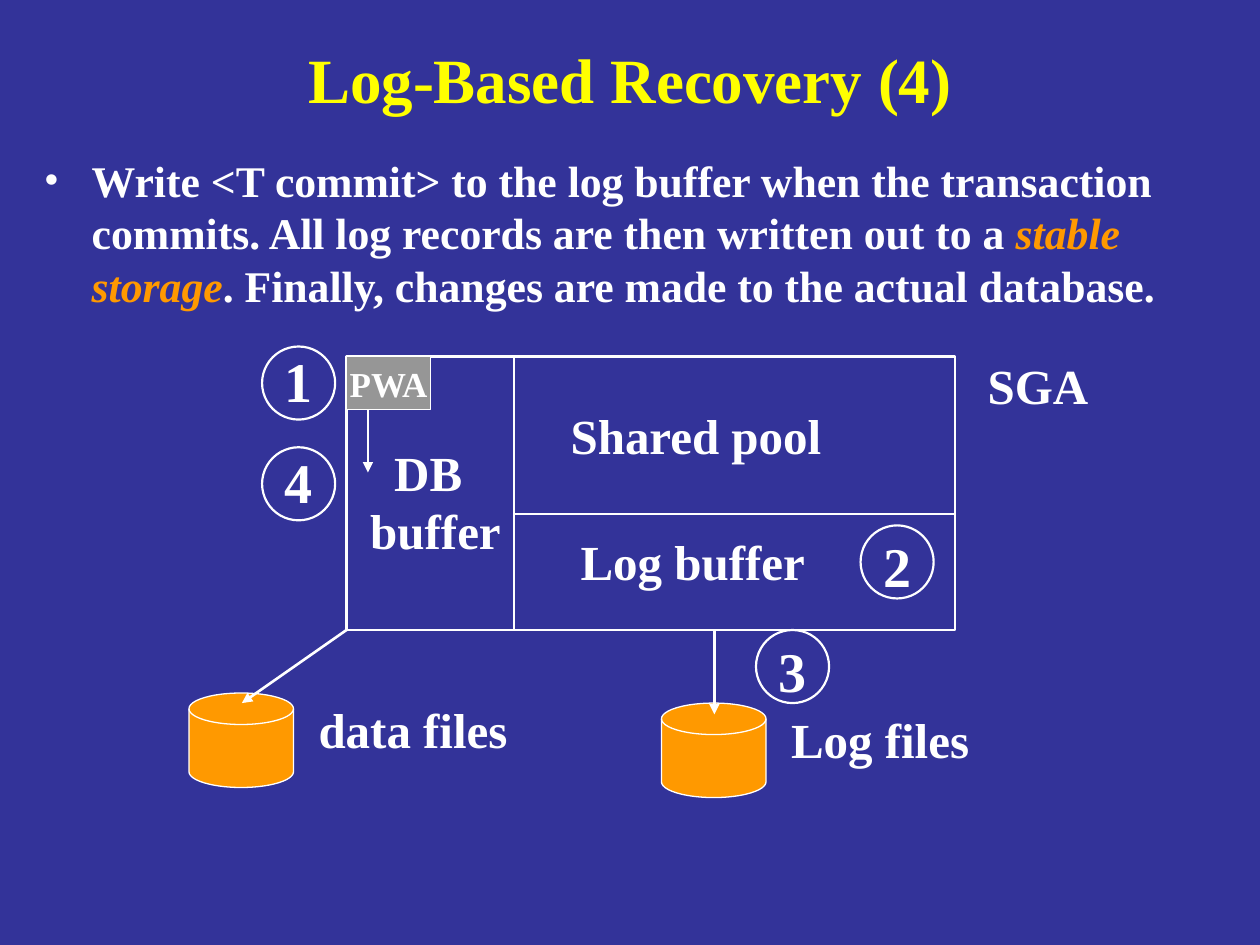
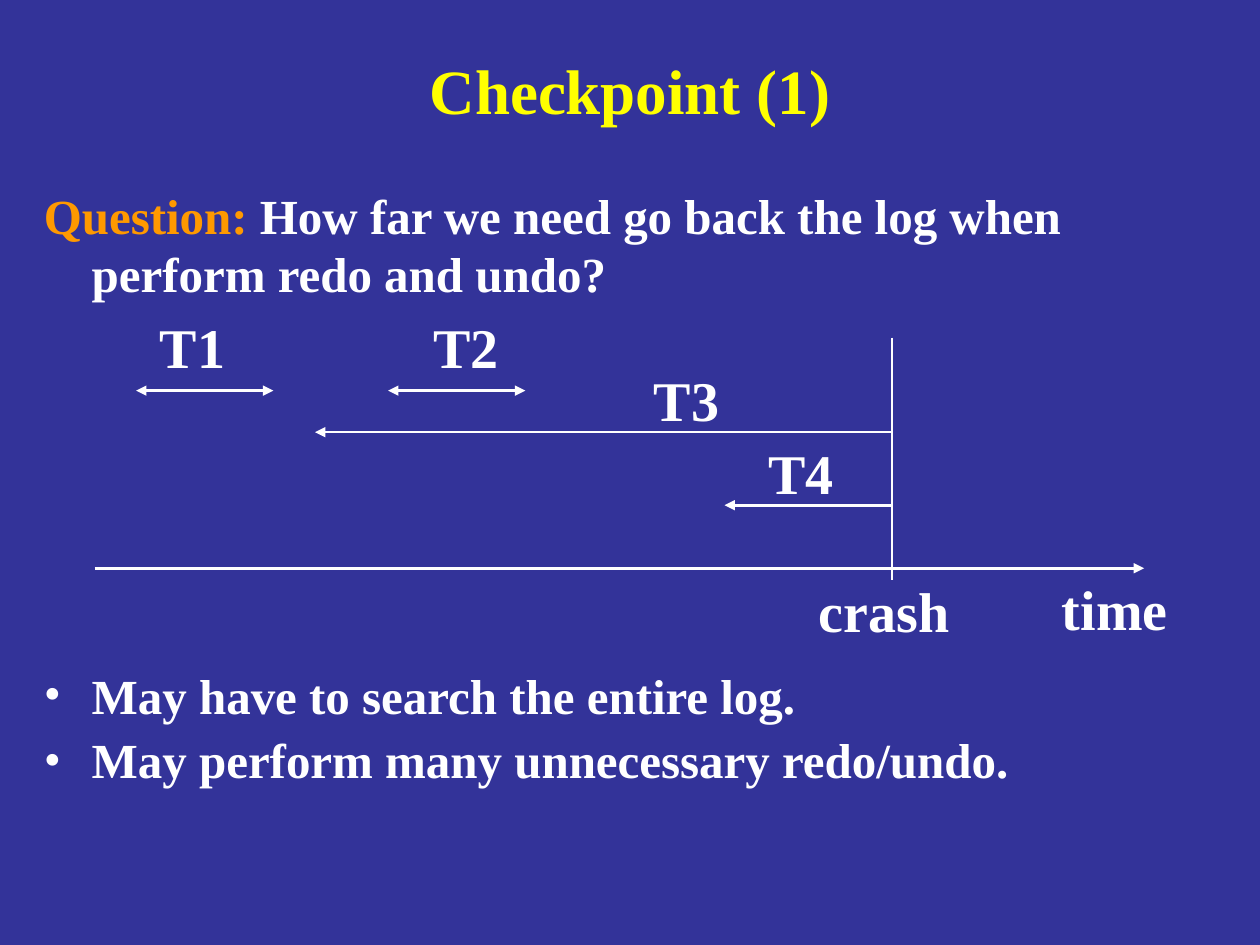
from lxml.etree import SubElement
from pptx import Presentation
from pptx.dml.color import RGBColor
from pptx.enum.shapes import MSO_CONNECTOR, MSO_SHAPE
from pptx.enum.text import MSO_ANCHOR, MSO_AUTO_SIZE, PP_ALIGN
from pptx.oxml.ns import qn
from pptx.util import Inches, Pt

FONT = "Times New Roman"
BLUE, YELLOW, WHITE = "333399", "FFFF00", "FFFFFF"
ORANGE, GRAY = "FF9900", "969696"
HANGING = 0.38
CIRCLE = 0.58


def rgb(value):
    """Turn a hex string into a colour."""
    return RGBColor.from_string(value)


def set_attributes(target, values):
    """Set every attribute named in a dict."""
    for name, value in values.items():
        setattr(target, name, value)


def add_run(paragraph, text, size, color=WHITE, italic=False):
    """Add one bold run to a paragraph."""
    run = paragraph.add_run()
    run.text = text
    set_attributes(run.font, {"name": FONT, "size": Pt(size), "bold": True, "italic": italic})
    run.font.color.rgb = rgb(color)


def indent(paragraph, left, first=0, bullet=False):
    """Indent a paragraph and give it a bullet if asked."""
    properties = paragraph._p.get_or_add_pPr()
    properties.set("marL", str(Inches(left)))
    properties.set("indent", str(Inches(first)))
    if bullet:
        color = SubElement(properties, qn("a:buClr"))
        SubElement(color, qn("a:srgbClr")).set("val", WHITE)
        SubElement(properties, qn("a:buFont")).set("typeface", FONT)
        SubElement(properties, qn("a:buChar")).set("char", "•")


def add_text_frame(slide, left, top, width, height, **values):
    """Add a text box and return its formatted frame."""
    box = slide.shapes.add_textbox(Inches(left), Inches(top), Inches(width), Inches(height))
    set_attributes(box.text_frame, {"word_wrap": True, **values})
    return box.text_frame


def add_title(slide, text, top):
    """Add the centred yellow title."""
    frame = add_text_frame(slide, 0.75, top, 8.5, 0.75, vertical_anchor=MSO_ANCHOR.MIDDLE)
    paragraph = frame.paragraphs[0]
    paragraph.alignment = PP_ALIGN.CENTER
    add_run(paragraph, text, 36, YELLOW)


def add_body(slide, top, height, size, paragraphs, bullet=True, **spacing):
    """Add hanging paragraphs, each a list of runs."""
    frame = add_text_frame(slide, 0.25, top, 9.5, height)
    for index, runs in enumerate(paragraphs):
        paragraph = frame.add_paragraph() if index else frame.paragraphs[0]
        if index:
            set_attributes(paragraph, spacing)
        indent(paragraph, HANGING, -HANGING, bullet)
        for text, *style in runs:
            add_run(paragraph, text, size, *style)


def add_label(slide, text, left, top, width, height=0.57, size=28):
    """Add a one-line label."""
    frame = add_text_frame(slide, left, top, width, height, word_wrap=False,
                           auto_size=MSO_AUTO_SIZE.SHAPE_TO_FIT_TEXT)
    add_run(frame.paragraphs[0], text, size)


def add_figure(slide, kind, left, top, width, height, fill=None, weight=1.25):
    """Add a white-outlined preset shape."""
    shape = slide.shapes.add_shape(kind, Inches(left), Inches(top), Inches(width), Inches(height))
    shape.shadow.inherit = False
    if fill:
        shape.fill.solid()
        shape.fill.fore_color.rgb = rgb(fill)
    else:
        shape.fill.background()
    shape.line.color.rgb = rgb(WHITE)
    shape.line.width = Pt(weight)
    return shape


def add_line(slide, start, end, *arrowheads):
    """Add a white line with the named ends as arrowheads."""
    points = [Inches(value) for value in (*start, *end)]
    connector = slide.shapes.add_connector(MSO_CONNECTOR.STRAIGHT, *points)
    connector.line.color.rgb = rgb(WHITE)
    connector.line.width = Pt(1.5)
    line = connector.line._get_or_add_ln()
    for end_name in arrowheads:
        SubElement(line, qn(f"a:{end_name}End")).set("type", "triangle")
    SubElement(connector._element.spPr, qn("a:effectLst"))


def add_step(slide, number, left, top, shift=0):
    """Add a circled step number."""
    add_figure(slide, MSO_SHAPE.OVAL, left, top, CIRCLE, CIRCLE)
    add_label(slide, number, left + 0.08, top + shift, 0.42, 0.64, 32)


def add_disk(slide, text, left, top, label_width):
    """Add a storage disk with its label on the right."""
    add_figure(slide, MSO_SHAPE.FLOWCHART_MAGNETIC_DISK, left, top, 0.83, 0.75, ORANGE, 0.75)
    add_label(slide, text, left + 0.93, top, label_width)


def add_memory(slide, left, top, width, height):
    """Draw the memory area with its pools and buffers."""
    divider, bottom = left + 1.33, top + height
    add_figure(slide, MSO_SHAPE.RECTANGLE, left, top, width, height)
    add_line(slide, (divider, top), (divider, bottom))
    add_line(slide, (divider, top + 1.25), (left + width, top + 1.25))
    add_label(slide, "Shared pool", left + 1.68, top + 0.34, 2.19)
    add_label(slide, "Log buffer", left + 1.76, top + 1.34, 1.98)
    add_label(slide, "SGA", left + width + 0.16, top - 0.06, 1)

    frame = add_text_frame(slide, left + 0.09, top + 0.63, 1.4, 1.04)
    indent(frame.paragraphs[0], 0.19)
    add_run(frame.paragraphs[0], "DB", 28)
    add_run(frame.add_paragraph(), "buffer", 28)

    work_area = add_figure(slide, MSO_SHAPE.RECTANGLE, left, top, 0.67, 0.42, GRAY, 0.75)
    set_attributes(work_area.text_frame, {"word_wrap": False, "vertical_anchor": MSO_ANCHOR.MIDDLE})
    paragraph = work_area.text_frame.paragraphs[0]
    paragraph.alignment = PP_ALIGN.CENTER
    add_run(paragraph, "PWA", 20)
    add_line(slide, (left + 0.17, top + 0.42), (left + 0.17, top + 0.92), "tail")


def add_storage(slide, left, top):
    """Draw the disks under the memory area, whose lower left corner is given."""
    add_disk(slide, "Log files", left + 2.5, top + 0.58, 1.61)
    add_line(slide, (left + 2.92, top), (left + 2.92, top + 0.67), "tail")
    add_disk(slide, "data files", left - 1.25, top + 0.5, 1.7)
    add_line(slide, (left, top), (left - 0.83, top + 0.58), "tail")


def add_timeline(slide, left, top, width, height):
    """Draw the transactions, the crash and the time axis."""
    crash, axis = left + 6.33, top + height - 0.09
    add_line(slide, (left, axis), (left + width, axis), "tail")
    add_line(slide, (crash, top), (crash, top + height))
    add_label(slide, "crash", crash - 0.68, axis + 0.02, 1.24, 0.64, 32)
    add_label(slide, "time", left + width - 0.75, axis, 1.04, 0.64, 32)

    for name, start, label_left in (("T1", 0.33, 0.42), ("T2", 2.33, 2.59)):
        level = top + 0.42
        add_line(slide, (left + start, level), (left + start + 1.09, level), "head", "tail")
        add_label(slide, name, left + label_left, level - 0.67, 0.72, 0.64, 32)
    for name, start, label_left, drop in (("T3", 1.75, 4.34, 0.75), ("T4", 5, 5.25, 1.33)):
        level = top + drop
        add_line(slide, (crash, level), (left + start, level), "tail")
        add_label(slide, name, left + label_left, level - 0.58, 0.72, 0.64, 32)


def add_slide(presentation, title, top):
    """Add a blue slide with its title."""
    slide = presentation.slides.add_slide(presentation.slide_layouts[6])
    slide.background.fill.solid()
    slide.background.fill.fore_color.rgb = rgb(BLUE)
    add_title(slide, title, top)
    return slide


def build_recovery(presentation):
    """Build the log-based recovery slide."""
    slide = add_slide(presentation, "Log-Based Recovery (4)", 0.25)
    add_body(slide, 1.17, 1.4, 25, [[
        ("Write <T commit> to the log buffer when the transaction commits. "
         "All log records are then written out to a ",),
        ("stable storage", ORANGE, True),
        (". Finally, changes are made to the actual database.",),
    ]])
    add_memory(slide, 2.75, 2.83, 4.83, 2.17)
    add_storage(slide, 2.75, 5)
    for step in (("1", 2.08, 2.75, -0.05), ("2", 6.83, 4.17),
                 ("3", 6, 5), ("4", 2.08, 3.55, -0.05)):
        add_step(slide, *step)


def build_checkpoint(presentation):
    """Build the checkpoint slide."""
    slide = add_slide(presentation, "Checkpoint (1)", 0.33)
    add_body(slide, 1.42, 1.05, 28, [[
        ("Question:", ORANGE),
        (" How far we need go back the log when perform redo and undo?",),
    ]], bullet=False)
    add_timeline(slide, 0.75, 2.68, 8.33, 1.92)
    add_body(slide, 5.23, 1.1, 28, [
        [("May have to search the entire log.",)],
        [("May perform many unnecessary redo/undo.",)],
    ], line_spacing=0.9, space_before=Pt(7))


def main():
    """Build and save the presentation."""
    presentation = Presentation()
    set_attributes(presentation, {"slide_width": Inches(10), "slide_height": Inches(7.5)})
    build_recovery(presentation)
    build_checkpoint(presentation)
    presentation.save("out.pptx")


if __name__ == "__main__":
    main()
